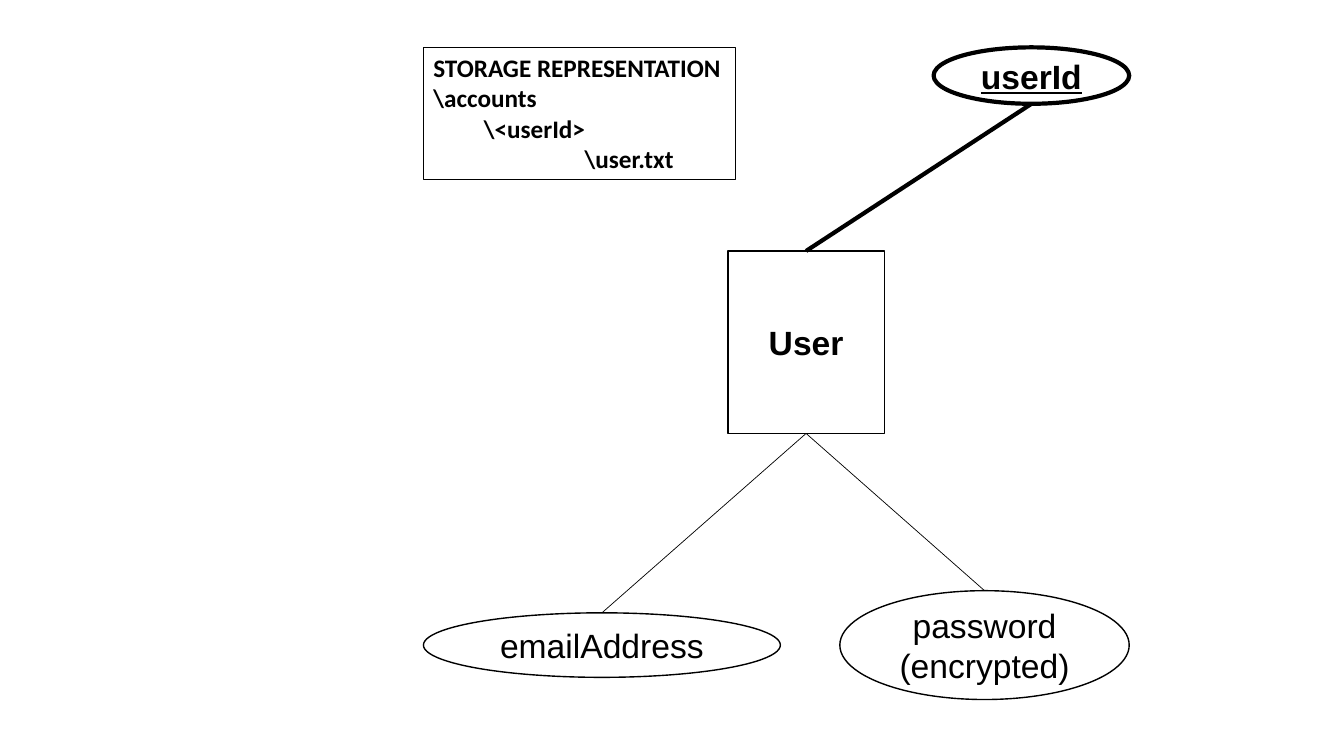
import dataclasses

import pptx
import pptx.dml.color
import pptx.enum.shapes
import pptx.enum.text
import pptx.oxml
import pptx.oxml.ns
import pptx.util

Inches = pptx.util.Inches
Pt = pptx.util.Pt
Shape = pptx.enum.shapes.MSO_SHAPE


@dataclasses.dataclass(frozen=True)
class Theme:
    ink: pptx.dml.color.RGBColor = pptx.dml.color.RGBColor(0, 0, 0)
    paper: pptx.dml.color.RGBColor = pptx.dml.color.RGBColor(255, 255, 255)
    diagram_font: str = "Arial"
    diagram_size: int = 24
    storage_font: str = "Calibri"
    storage_size: int = 18
    thin: float = 0.5
    frame: float = 0.75
    outline: float = 1
    key: float = 3


THEME = Theme()


def style_line(line, weight):
    line.color.rgb = THEME.ink
    line.width = Pt(weight)


def style_text(para, font, size, bold=False, underline=False):
    for span in para.runs:
        span.font.name = font
        span.font.size = Pt(size)
        span.font.color.rgb = THEME.ink
        span.font.bold = bold
        span.font.underline = underline


def add_node(page, preset, bounds, text, weight=THEME.outline, bold=False, underline=False):
    node = page.shapes.add_shape(preset, *map(Inches, bounds))
    node.shadow.inherit = False
    node.fill.solid()
    node.fill.fore_color.rgb = THEME.paper
    style_line(node.line, weight)
    frame = node.text_frame
    frame.word_wrap = True
    frame.vertical_anchor = pptx.enum.text.MSO_ANCHOR.MIDDLE
    frame.text = text
    para = frame.paragraphs[0]
    para.alignment = pptx.enum.text.PP_ALIGN.CENTER
    style_text(para, THEME.diagram_font, THEME.diagram_size, bold, underline)
    return node


def add_link(page, upper, lower, weight=THEME.thin):
    link = page.shapes.add_connector(
        pptx.enum.shapes.MSO_CONNECTOR.STRAIGHT,
        upper.left + upper.width // 2, upper.top + upper.height,
        lower.left + lower.width // 2, lower.top)
    style_line(link.line, weight)
    properties = link._element.spPr
    properties.append(pptx.oxml.parse_xml(
        "<a:effectLst %s/>" % pptx.oxml.ns.nsdecls("a")))


def add_storage_box(page, bounds, entries):
    box = page.shapes.add_textbox(*map(Inches, bounds))
    style_line(box.line, THEME.frame)
    frame = box.text_frame
    frame.word_wrap = True
    frame.auto_size = pptx.enum.text.MSO_AUTO_SIZE.SHAPE_TO_FIT_TEXT
    frame.text = "\n".join(text for text, level in entries)
    for para, (text, level) in zip(frame.paragraphs, entries):
        para.level = level
        style_text(para, THEME.storage_font, THEME.storage_size, bold=True)


def main():
    deck = pptx.Presentation()
    deck.slide_width = Inches(13.33)
    deck.slide_height = Inches(7.5)
    page = deck.slides.add_slide(deck.slide_layouts[6])

    user = add_node(page, Shape.RECTANGLE, (7.22, 2.49, 1.55, 1.81), "User", bold=True)
    email = add_node(page, Shape.OVAL, (4.2, 6.08, 3.54, 0.64), "emailAddress")
    password = add_node(page, Shape.OVAL, (8.33, 5.86, 2.87, 1.08), "password (encrypted)")
    user_id = add_node(page, Shape.OVAL, (9.26, 0.47, 1.94, 0.56), "userId",
                       THEME.key, bold=True, underline=True)

    add_link(page, user_id, user, THEME.key)
    for attribute in (email, password):
        add_link(page, user, attribute)

    add_storage_box(page, (4.2, 0.47, 3.1, 1.31), [
        ("STORAGE REPRESENTATION", 0),
        ("\\accounts", 0),
        ("\\<userId>", 1),
        ("\\user.txt", 3),
    ])
    deck.save("out.pptx")


main()
